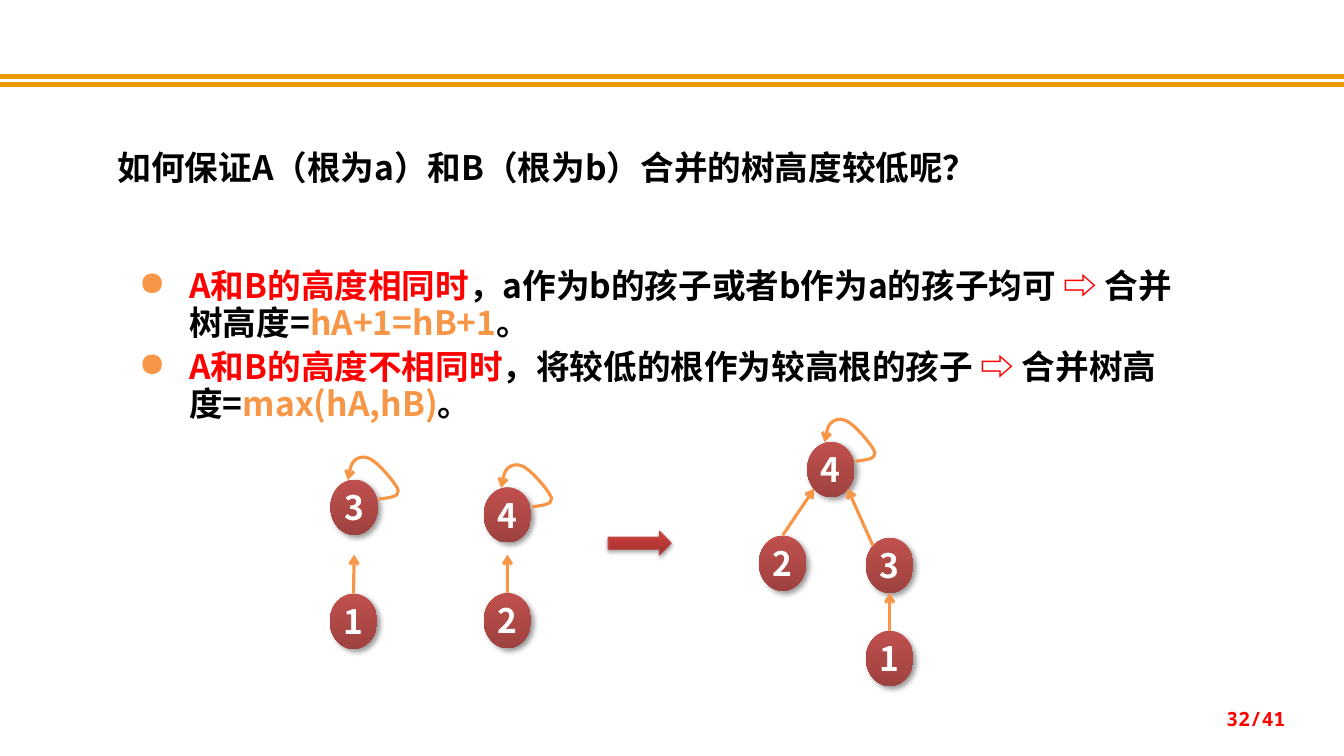
from pptx import Presentation
from pptx.dml.color import RGBColor
from pptx.enum.shapes import MSO_CONNECTOR, MSO_SHAPE
from pptx.enum.text import MSO_ANCHOR, PP_ALIGN
from pptx.oxml import parse_xml
from pptx.oxml.ns import nsdecls, qn
from pptx.util import Pt

SANS, MONO = "Noto Sans CJK SC", "Noto Sans Mono"
BLACK, WHITE, RED, ORANGE, GOLD = "000000", "FFFFFF", "FF0000", "F79646", "F19903"

QUESTION = "如何保证A（根为a）和B（根为b）合并的树高度较低呢？"
CASES = [
    [("A和B的高度相同时", RED), ("，a作为b的孩子或者b作为a的孩子均可 ", BLACK),
     ("⇨ ", RED), ("合并树高度=", BLACK), ("hA+1=hB+1", ORANGE), ("。", BLACK)],
    [("A和B的高度不相同时", RED), ("，将较低的根作为较高根的孩子 ", BLACK),
     ("⇨", RED), (" 合并树高度=", BLACK), ("max(hA,hB)", ORANGE), ("。", BLACK)],
]
PAGE = "32/41"

NODE_W, NODE_H = 34, 39.5
NODES = {
    "left root": ("3", 236, 342.5), "left child": ("1", 235.5, 424),
    "middle root": ("4", 345.5, 348), "middle child": ("2", 345.5, 423.5),
    "merged root": ("4", 576.5, 315.5), "merged left": ("2", 542, 382.5),
    "merged right": ("3", 618.5, 384), "merged leaf": ("1", 618.5, 450.5),
}
TOP, BOTTOM = (0.5, 0), (0.5, 1)
TOP_LEFT, BOTTOM_LEFT, BOTTOM_RIGHT = (0.15, 0.15), (0.15, 0.85), (0.85, 0.85)
EDGES = [
    ("left child", TOP, "left root", (0.5, 1.36)),
    ("middle child", TOP, "middle root", (0.5, 1.22)),
    ("merged left", TOP, "merged root", BOTTOM_LEFT),
    ("merged right", TOP_LEFT, "merged root", BOTTOM_RIGHT),
    ("merged leaf", TOP, "merged right", BOTTOM),
]
ROOTS = ["left root", "middle root", "merged root"]
LOOP = [(34.5, 14), (42, 13), (49, 12.5), (48.5, 8), (47.5, 3.5), (36, -9.5), (31, -13),
        (26, -17), (21.5, -16.5), (18.5, -14.5), (15, -12), (13.5, -6), (12.5, 0.5)]

prs = Presentation()
prs.slide_width, prs.slide_height = Pt(960), Pt(540)
slide = prs.slides.add_slide(prs.slide_layouts[6])


def rgb(value):
    return RGBColor.from_string(value)


def element(xml):
    tag, rest = xml[1:].split(" ", 1)
    return parse_xml(f"<{tag} {nsdecls('a')} {rest}")


def apply(obj, **values):
    for name, value in values.items():
        setattr(obj, name, value)


def add_run(p, text, color, size=24, font=SANS):
    r = p.add_run()
    r.text = text
    apply(r.font, size=Pt(size), bold=True, name=font)
    r.font.color.rgb = rgb(color)
    r._r.get_or_add_rPr().append(element(f'<a:ea typeface="{font}"/>'))


def add_box(x, y, w, h, **frame):
    s = slide.shapes.add_textbox(Pt(x), Pt(y), Pt(w), Pt(h))
    apply(s.text_frame, word_wrap=True, **frame)
    return s


def style_line(s, color, width, arrow=False):
    s.line.color.rgb = rgb(color)
    s.line.width = Pt(width)
    if arrow:
        s.line._get_or_add_ln().append(element('<a:tailEnd type="arrow"/>'))


def add_line(x1, y1, x2, y2, color, width, arrow=False):
    s = slide.shapes.add_connector(MSO_CONNECTOR.STRAIGHT, Pt(x1), Pt(y1), Pt(x2), Pt(y2))
    style_line(s, color, width, arrow)
    s._element.spPr.append(element('<a:effectLst />'))


def add_shaded(kind, x, y, w, h, stops, angle, alpha, blur, dist, direction):
    s = slide.shapes.add_shape(kind, Pt(x), Pt(y), Pt(w), Pt(h))
    s.fill.background()
    s.line.fill.background()
    s.shadow.inherit = False
    sp = s._element.spPr
    marks = "".join(f'<a:gs pos="{pos * 1000}"><a:srgbClr val="{c}"/></a:gs>' for pos, c in stops)
    sp.replace(sp.find(qn("a:noFill")), element(
        f'<a:gradFill rotWithShape="1"><a:gsLst>{marks}</a:gsLst>'
        f'<a:lin ang="{angle * 60000}" scaled="0"/></a:gradFill>'))
    sp.find(qn("a:effectLst")).append(element(
        f'<a:outerShdw blurRad="{Pt(blur)}" dist="{Pt(dist)}" dir="{direction * 60000}" '
        f'algn="ctr" rotWithShape="0"><a:srgbClr val="{BLACK}">'
        f'<a:alpha val="{alpha * 1000}"/></a:srgbClr></a:outerShdw>'))
    return s


def add_node(label, x, y):
    s = add_shaded(MSO_SHAPE.OVAL, x, y, NODE_W, NODE_H,
                   [(0, "C0504D"), (100, "9E423F")], 90, 40, 4, 3, 45)
    tf = s.text_frame
    apply(tf, word_wrap=False, vertical_anchor=MSO_ANCHOR.MIDDLE)
    tf.paragraphs[0].alignment = PP_ALIGN.CENTER
    add_run(tf.paragraphs[0], label, WHITE)


def add_loop(x, y):
    points = [(Pt(x + dx), Pt(y + dy)) for dx, dy in LOOP]
    builder = slide.shapes.build_freeform(*points[0])
    builder.add_line_segments(points[1:], close=False)
    s = builder.convert_to_shape()
    s.fill.background()
    s.shadow.inherit = False
    style_line(s, ORANGE, 2.25, arrow=True)
    segments = list(s._element.iter(qn("a:lnTo")))
    outline = segments[0].getparent()
    for i in range(0, len(segments), 3):
        curve = element('<a:cubicBezTo />')
        for segment in segments[i:i + 3]:
            curve.append(segment[0])
            outline.remove(segment)
        outline.append(curve)


def anchor(name, site):
    label, x, y = NODES[name]
    return x + NODE_W * site[0], y + NODE_H * site[1]


for y in (54.6, 60.4):
    add_line(0, y, 960, y, GOLD, 3)

s = add_box(701.3, 499, 224, 28.8, vertical_anchor=MSO_ANCHOR.MIDDLE)
p = s.text_frame.paragraphs[0]
p.alignment = PP_ALIGN.RIGHT
add_run(p, PAGE, RED, 14, MONO)

s = add_box(92.2, 180.7, 756, 134, margin_top=Pt(11.5), margin_bottom=Pt(11.5))
s.fill.solid()
s.fill.fore_color.rgb = rgb(WHITE)
tf = s.text_frame
for i, case in enumerate(CASES):
    p = tf.add_paragraph() if i else tf.paragraphs[0]
    pPr = p._p.get_or_add_pPr()
    pPr.set("marL", str(Pt(36)))
    pPr.set("indent", str(Pt(-36)))
    pPr.append(element(f'<a:buClr ><a:srgbClr val="{ORANGE}"/></a:buClr>'))
    pPr.append(element('<a:buChar char="●"/>'))
    apply(p, line_spacing=Pt(26), space_before=Pt(6 if i else 0))
    for text, color in case:
        add_run(p, text, color)

s = add_box(77, 101.5, 771, 36)
add_run(s.text_frame.paragraphs[0], QUESTION, BLACK)

for node in NODES.values():
    add_node(*node)
for start, start_site, end, end_site in EDGES:
    add_line(*anchor(start, start_site), *anchor(end, end_site), ORANGE, 2.25, arrow=True)
for root in ROOTS:
    add_loop(*NODES[root][1:])

s = add_shaded(MSO_SHAPE.RIGHT_ARROW, 434.5, 379.5, 45, 17,
               [(0, "9C2F2D"), (80, "CB3E3A"), (100, "CE3B37")], 270, 35, 3.1, 1.8, 90)
style_line(s, "BF4C48", 0.75)

prs.save("out.pptx")
